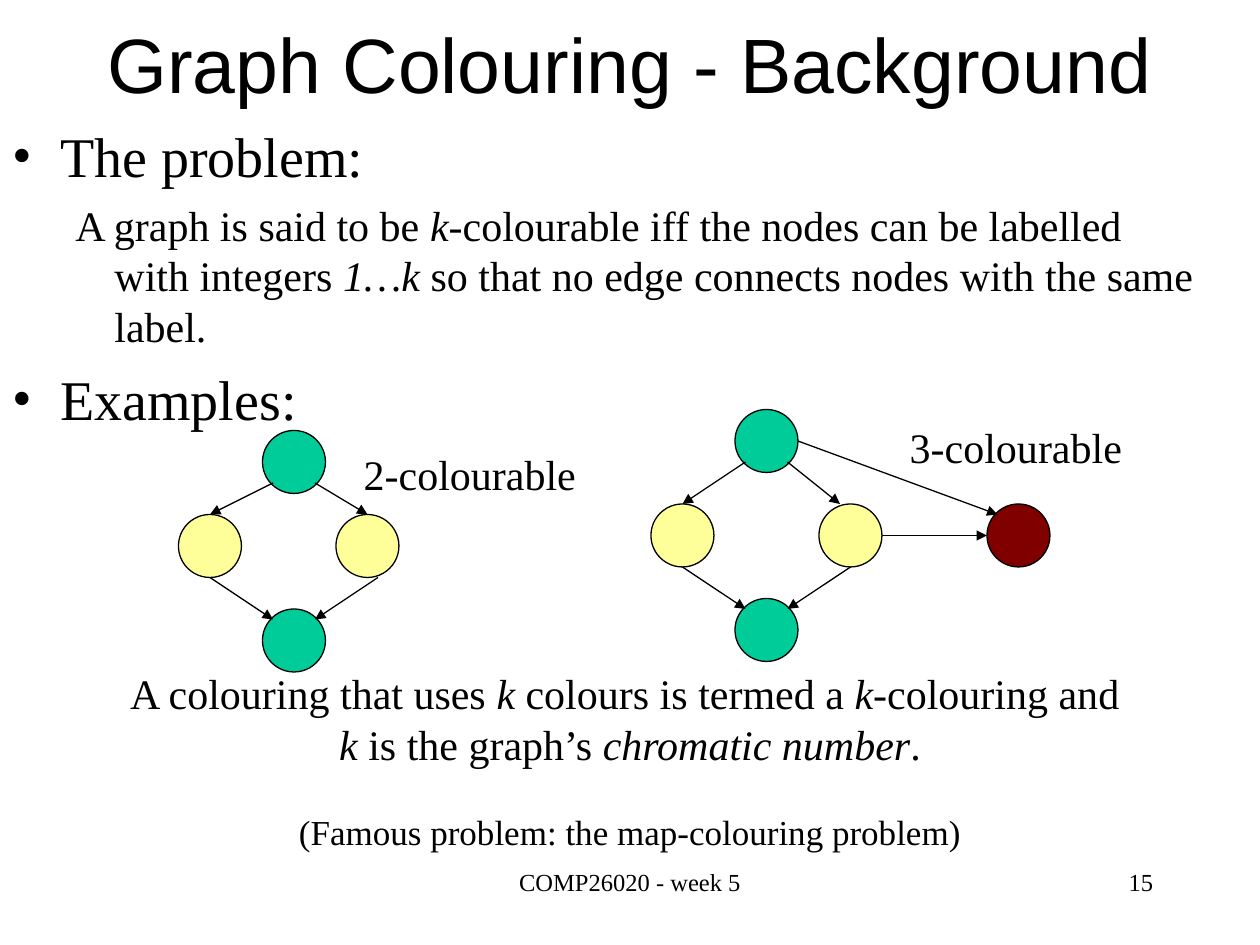
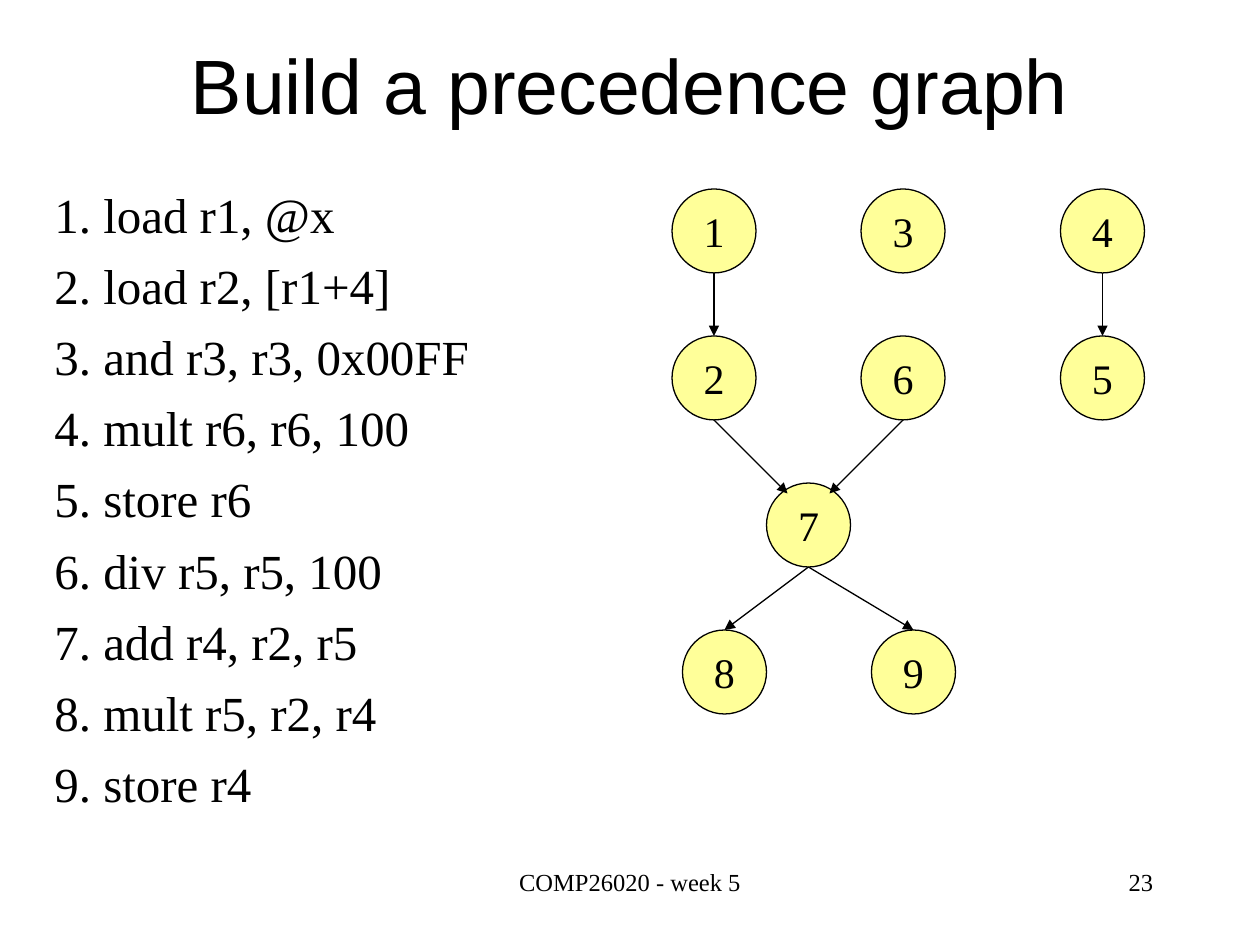
from lxml import etree
from pptx import Presentation
from pptx import util as u
from pptx.dml.color import RGBColor
from pptx.enum import shapes, text
from pptx.oxml.ns import qn

BLACK = RGBColor(0x00, 0x00, 0x00)
GREEN = RGBColor(0x00, 0xCC, 0x99)
YELLOW = RGBColor(0xFF, 0xFF, 0x99)
MAROON = RGBColor(0x80, 0x00, 0x00)
TITLE_FONT = "Arial"
BODY_FONT = "Times New Roman"
COURSE = "COMP26020 - week 5"

COLUMNS, ROWS = 120, 90
CELL = u.Inches(10) // COLUMNS
LINE_WIDTH = u.Pt(0.75)
LEFT, CENTER, RIGHT = text.PP_ALIGN.LEFT, text.PP_ALIGN.CENTER, text.PP_ALIGN.RIGHT

PORTS = {
    "top": (1 / 2, 0),
    "top_inner": (1 / 3, 0),
    "bottom": (1 / 2, 1),
    "bottom_outer": (2 / 3, 1),
    "left": (0, 1 / 2),
    "right": (1, 1 / 2),
    "upper_left": (1 / 6, 1 / 6),
    "upper_right": (5 / 6, 1 / 6),
    "lower_left": (1 / 6, 5 / 6),
    "lower_right": (5 / 6, 5 / 6),
    "shoulder_left": (1 / 4, 1 / 8),
    "shoulder_right": (3 / 4, 1 / 8),
}

DIAMOND_EDGES = [
    ("start", "lower_left", "west", "top"),
    ("west", "bottom", "end", "upper_left"),
]
TWO_COLOUR_NODES = {
    "end": (8, 17, GREEN),
    "east": (15, 8, YELLOW),
    "west": (0, 8, YELLOW),
    "start": (8, 0, GREEN),
}
TWO_COLOUR_EDGES = DIAMOND_EDGES + [
    ("start", "lower_right", "east", "top"),
    ("east", "bottom_outer", "end", "upper_right"),
]
THREE_COLOUR_NODES = {
    "end": (8, 18, GREEN),
    "far": (32, 9, MAROON),
    "east": (16, 9, YELLOW),
    "west": (0, 9, YELLOW),
    "start": (8, 0, GREEN),
}
THREE_COLOUR_EDGES = DIAMOND_EDGES + [
    ("start", "lower_right", "east", "top_inner"),
    ("east", "bottom", "end", "upper_right"),
    ("east", "right", "far", "left"),
    ("start", "right", "far", "upper_left"),
]

INSTRUCTIONS = [
    "load r1, @x",
    "load r2, [r1+4]",
    "and r3, r3, 0x00FF",
    "mult r6, r6, 100",
    "store r6",
    "div r5, r5, 100",
    "add r4, r2, r5",
    "mult r5, r2, r4",
    "store r4",
]
PRECEDENCE_ROW = 14
PRECEDENCE_PLACES = {
    "1": (0, 0), "3": (18, 0), "4": (37, 0),
    "2": (0, 1), "6": (18, 1), "5": (37, 1),
    "7": (9, 2),
    "8": (1, 3), "9": (19, 3),
}
PRECEDENCE_EDGES = [
    ("1", "bottom", "2", "top"),
    ("4", "bottom", "5", "top"),
    ("2", "bottom", "7", "shoulder_left"),
    ("6", "bottom", "7", "shoulder_right"),
    ("7", "bottom", "8", "top"),
    ("7", "bottom", "9", "top"),
]


def cells(*lengths):
    return [u.Emu(round(length * CELL)) for length in lengths]


def write(frame, content, size=24, font=BODY_FONT, align=LEFT, before=0,
          indent=0, hanging=0, bullet=None):
    first = not frame.text
    paragraph = frame.paragraphs[0] if first else frame.add_paragraph()
    paragraph.alignment = align
    paragraph.space_before = u.Pt(0 if first else before)
    properties = paragraph._p.get_or_add_pPr()
    properties.set("marL", str(u.Inches(indent)))
    properties.set("indent", str(-u.Inches(hanging)))
    if bullet:
        etree.SubElement(properties, qn("a:buFont")).set("typeface", font)
        etree.SubElement(properties, qn("a:buChar")).set("char", bullet)
    for index, piece in enumerate(content.split("*")):
        if piece:
            run = paragraph.add_run()
            run.text = piece
            run.font.name = font
            run.font.size = u.Pt(size)
            run.font.italic = index % 2 == 1
            run.font.color.rgb = BLACK


def text_box(slide, box, wrap=True, anchor=text.MSO_ANCHOR.TOP):
    frame = slide.shapes.add_textbox(*cells(*box)).text_frame
    frame.word_wrap = wrap
    if not wrap:
        frame.auto_size = text.MSO_AUTO_SIZE.SHAPE_TO_FIT_TEXT
    frame.vertical_anchor = anchor
    return frame


def node(group, box, fill, label):
    shape = group.shapes.add_shape(shapes.MSO_SHAPE.OVAL, *cells(*box))
    shape.shadow.inherit = False
    shape.fill.solid()
    shape.fill.fore_color.rgb = fill
    shape.line.color.rgb = BLACK
    shape.line.width = LINE_WIDTH
    if label:
        shape.text_frame.word_wrap = False
        shape.text_frame.vertical_anchor = text.MSO_ANCHOR.MIDDLE
        write(shape.text_frame, label, align=CENTER)


def arrow(group, start, end):
    connector = group.shapes.add_connector(
        shapes.MSO_CONNECTOR.STRAIGHT, *cells(*start, *end))
    connector.line.color.rgb = BLACK
    connector.line.width = LINE_WIDTH
    properties = connector._element.spPr
    line = properties.find(qn("a:ln"))
    etree.SubElement(line, qn("a:tailEnd")).set("type", "triangle")
    etree.SubElement(properties, qn("a:effectLst"))


def graph(slide, left, top, size, nodes, edges, labelled=False):
    group = slide.shapes.add_group_shape()
    for name, (x, y, fill) in nodes.items():
        node(group, (left + x, top + y, size, size), fill, name if labelled else "")

    def port(name, side):
        x, y, _ = nodes[name]
        across, down = PORTS[side]
        return left + x + size * across, top + y + size * down

    for source, source_side, target, target_side in edges:
        arrow(group, port(source, source_side), port(target, target_side))


def base_slide(presentation, title, title_top, number):
    slide = presentation.slides.add_slide(presentation.slide_layouts[6])
    write(text_box(slide, (41, 82, 38, 6)), COURSE, size=14, align=CENTER)
    write(text_box(slide, (86, 82, 25, 6)), number, size=14, align=RIGHT)
    frame = text_box(slide, (9, title_top, 102, 12), anchor=text.MSO_ANCHOR.MIDDLE)
    write(frame, title, size=44, font=TITLE_FONT, align=CENTER)
    return slide


def definition(slide, box):
    frame = text_box(slide, box)
    heading = dict(size=32, before=8, indent=0.38, hanging=0.38, bullet="•")
    write(frame, "The problem:", **heading)
    write(frame, "A graph is said to be *k*-colourable iff the nodes can be labelled "
          "with integers *1…k* so that no edge connects nodes with the same label.",
          before=6, indent=0.81, hanging=0.31)
    write(frame, "Examples:", **heading)


def conclusion(slide, box):
    frame = text_box(slide, box)
    write(frame, "A colouring that uses *k* colours is termed a *k*-colouring and ",
          align=CENTER)
    write(frame, "*k* is the graph’s *chromatic number*.", align=CENTER)
    write(frame, "(Famous problem: the map-colouring problem)",
          size=20, align=CENTER, before=24)


def colouring_slide(presentation):
    slide = base_slide(presentation, "Graph Colouring - Background", 0, "15")
    definition(slide, (0, 11, 116, 31))
    graph(slide, 17, 41, 6, TWO_COLOUR_NODES, TWO_COLOUR_EDGES)
    graph(slide, 62, 39, 6, THREE_COLOUR_NODES, THREE_COLOUR_EDGES)
    conclusion(slide, (10, 63, 100, 19))
    for label, left, top in (("2-colourable", 33.25, 42.1), ("3-colourable", 85.25, 39.6)):
        write(text_box(slide, (left, top, 23, 6), wrap=False), label, align=CENTER)


def precedence_slide(presentation):
    slide = base_slide(presentation, "Build a precedence graph", 2, "23")
    frame = text_box(slide, (4, 17, 55, 65))
    for number, instruction in enumerate(INSTRUCTIONS, 1):
        write(frame, f"{number}. {instruction}", size=28, before=7,
              indent=0.67, hanging=0.67)
    nodes = {name: (x, row * PRECEDENCE_ROW, YELLOW)
             for name, (x, row) in PRECEDENCE_PLACES.items()}
    graph(slide, 64, 18, 8, nodes, PRECEDENCE_EDGES, labelled=True)


def main():
    presentation = Presentation()
    presentation.slide_width, presentation.slide_height = cells(COLUMNS, ROWS)
    colouring_slide(presentation)
    precedence_slide(presentation)
    presentation.save("out.pptx")


if __name__ == "__main__":
    main()
